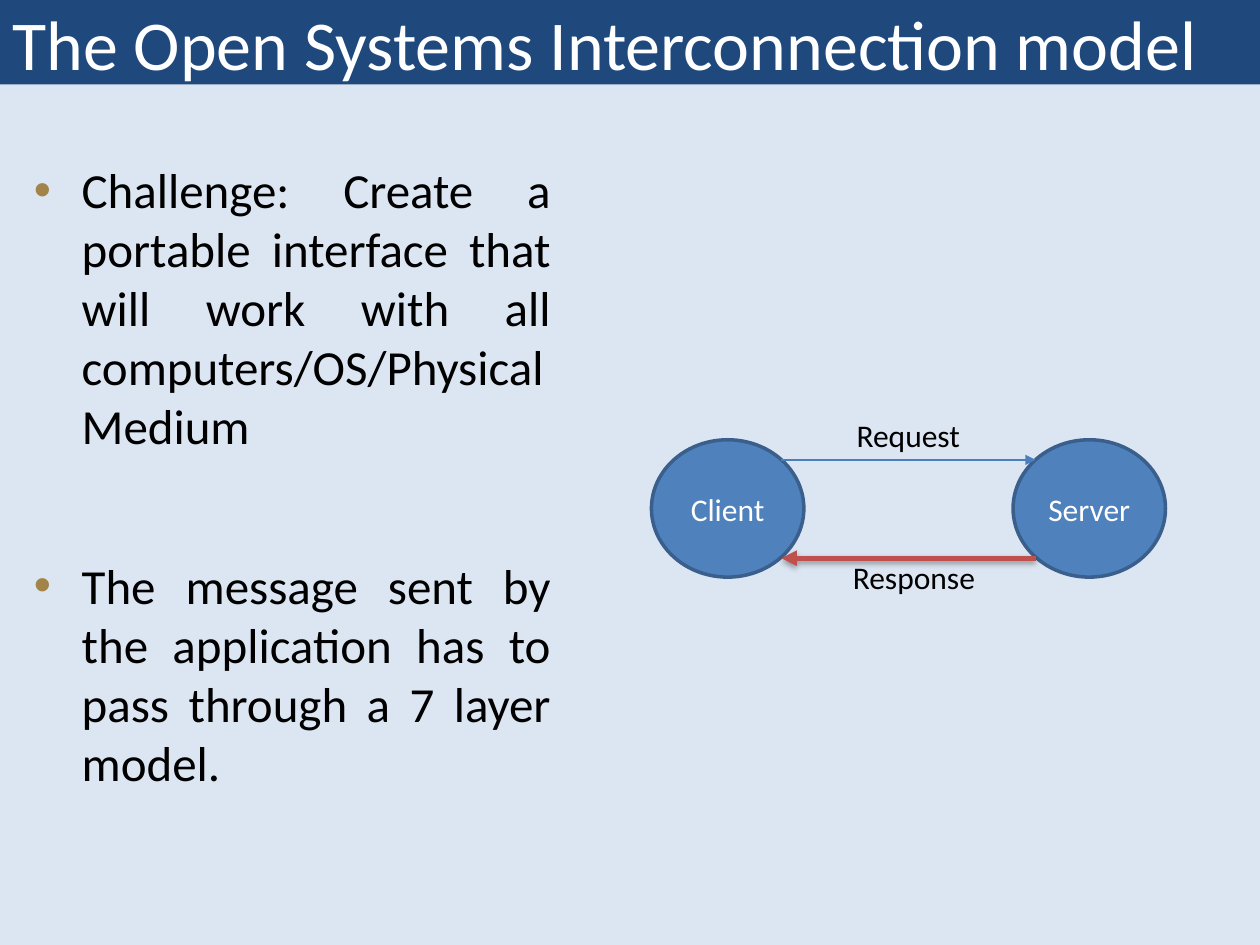
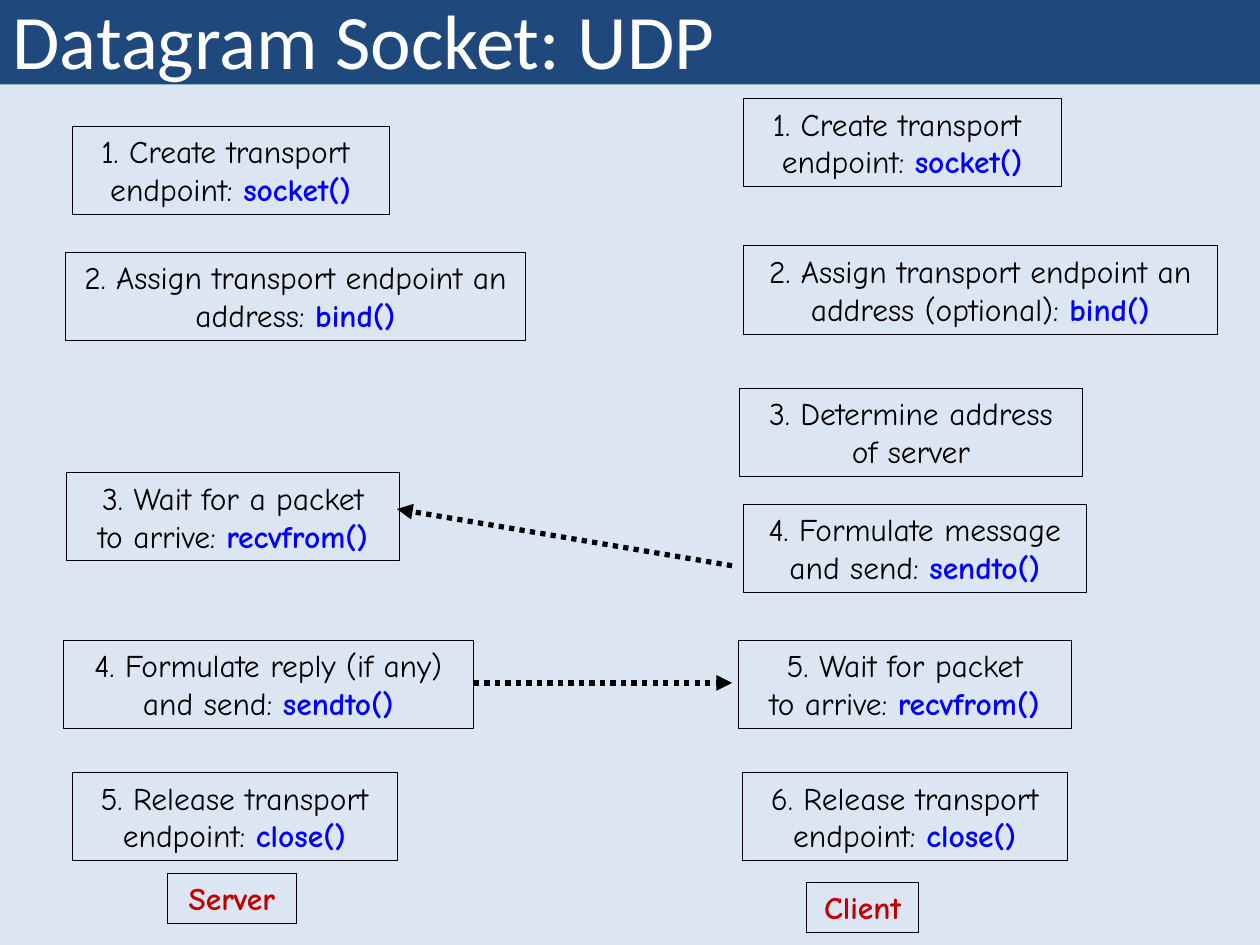
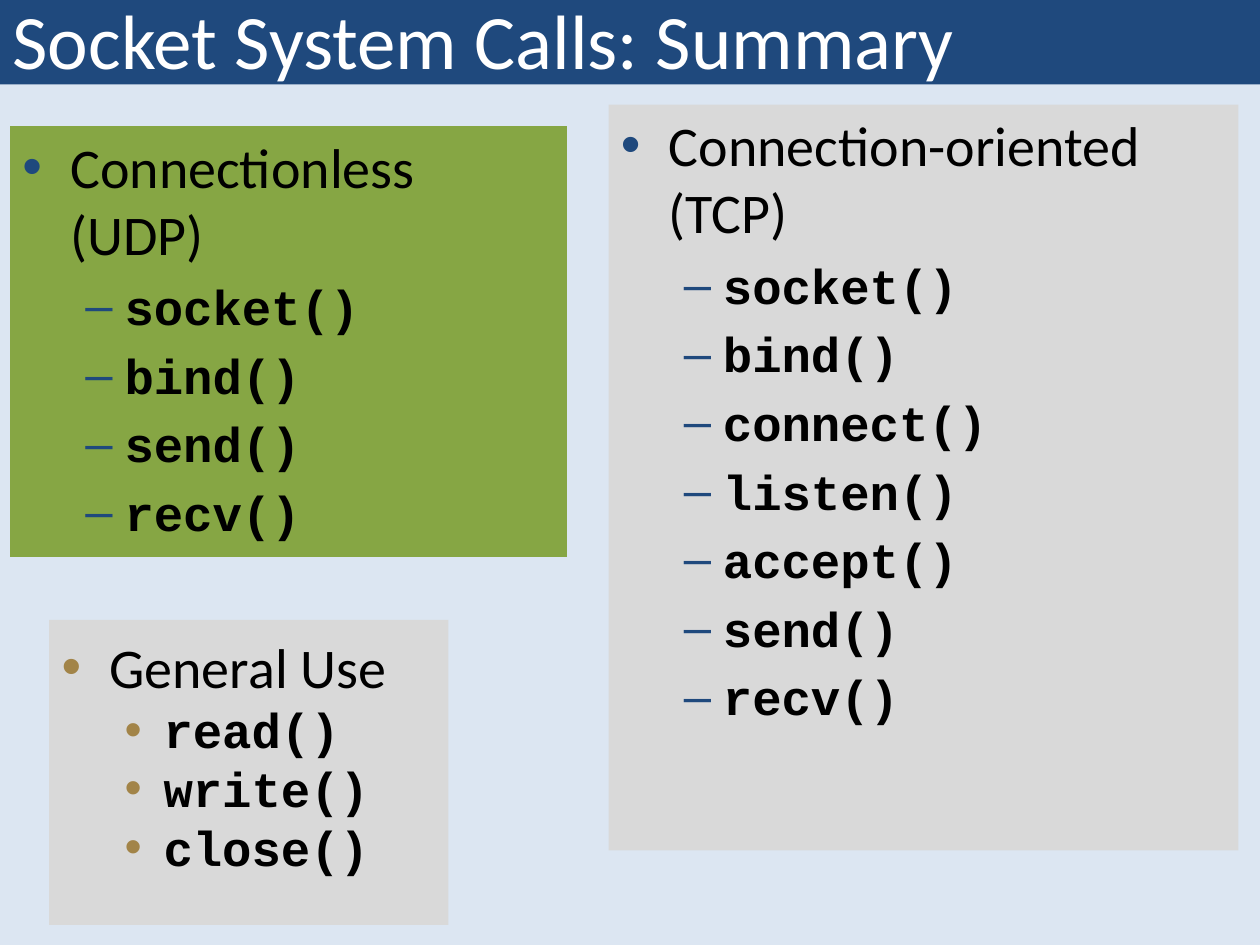
from dataclasses import dataclass

import pptx
import pptx.dml.color
import pptx.enum.dml
import pptx.enum.shapes
import pptx.enum.text
import pptx.oxml
import pptx.oxml.ns
import pptx.util

ALIGN = pptx.enum.text.PP_ALIGN
ANCHOR = pptx.enum.text.MSO_ANCHOR
SHAPE = pptx.enum.shapes.MSO_SHAPE
NS = pptx.oxml.ns.nsdecls("a")
COLS, ROWS = 100, 75


@dataclass(frozen=True)
class Theme:
    page: str = "DCE6F2"
    navy: str = "1F497D"
    gold: str = "A28448"
    blue: str = "4F81BD"
    blue_edge: str = "3A5F8C"
    blue_line: str = "4B7EBC"
    red: str = "C0504D"
    tag: str = "C00000"
    call: str = "0000FF"
    grey: str = "D9D9D9"
    green: str = "86A644"
    white: str = "FFFFFF"
    black: str = "000000"
    sans: str = "Calibri"
    comic: str = "Comic Neue"
    mono: str = "Courier New"
    title: int = 44
    long_title: int = 40
    heading: int = 32
    body: int = 28
    label: int = 18


@dataclass(frozen=True)
class Box:
    """A region in grid units; at() gives a region relative to this one."""
    x: float
    y: float
    w: float
    h: float

    def at(self, x, y, w, h):
        return Box(self.x + x, self.y + y, w, h)

    def emu(self):
        return (gx(self.x), gy(self.y), gx(self.w), gy(self.h))


T = Theme()
prs = pptx.Presentation()
prs.slide_width = pptx.util.Inches(10)
prs.slide_height = pptx.util.Inches(7.5)


def gx(cols):
    return round(prs.slide_width * cols / COLS)


def gy(rows):
    return round(prs.slide_height * rows / ROWS)


def rgb(color):
    return pptx.dml.color.RGBColor.from_string(color)


def add_run(p, text, size, color=T.black, font=T.sans, bold=False):
    r = p.add_run()
    r.text = text
    r.font.size, r.font.name, r.font.bold = pptx.util.Pt(size), font, bold
    r.font.color.rgb = rgb(color)


def next_paragraph(tf):
    """Return the empty first paragraph, or a new one."""
    return tf.add_paragraph() if tf.paragraphs[0].runs else tf.paragraphs[0]


def set_margins(tf, left, top, right, bottom):
    tf.margin_left, tf.margin_right = gx(left), gx(right)
    tf.margin_top, tf.margin_bottom = gy(top), gy(bottom)


def add_bullet(tf, text, size, char, color, level=0, before=0, font=T.sans, align=None):
    p = next_paragraph(tf)
    p.level, p.alignment = level, align
    p.space_before = pptx.util.Pt(before)
    pPr = p._p.get_or_add_pPr()
    indent, hang = ((3.8, 3.8), (8.1, 3.1))[level]
    pPr.set("marL", str(gx(indent)))
    pPr.set("indent", str(-gx(hang)))
    for xml in (f'<a:buClr {NS}><a:srgbClr val="{color}"/></a:buClr>',
                f'<a:buFont {NS} typeface="Arial"/>',
                f'<a:buChar {NS} char="{char}"/>'):
        pPr.append(pptx.oxml.parse_xml(xml))
    add_run(p, text, size, font=font, bold=font == T.mono)


def add_block(s, kind, box, fill=None, line=None, width=0.25):
    sp = s.shapes.add_shape(kind, *box.emu())
    sp.shadow.inherit = False
    if fill:
        sp.fill.solid()
        sp.fill.fore_color.rgb = rgb(fill)
    else:
        sp.fill.background()
    if line:
        sp.line.color.rgb = rgb(line)
        sp.line.width = pptx.util.Pt(width)
    else:
        sp.line.fill.background()
    return sp


def add_arrow(s, box, start, end, color, width, dash=None, shadow=""):
    """Draw an arrow between two points relative to the box."""
    (x1, y1), (x2, y2) = start, end
    c = s.shapes.add_connector(
        pptx.enum.shapes.MSO_CONNECTOR.STRAIGHT,
        gx(box.x + x1), gy(box.y + y1), gx(box.x + x2), gy(box.y + y2))
    c.line.color.rgb = rgb(color)
    c.line.width = pptx.util.Pt(width)
    if dash:
        c.line.dash_style = dash
    c.line._get_or_add_ln().append(pptx.oxml.parse_xml(f'<a:tailEnd {NS} type="triangle"/>'))
    c._element.spPr.append(pptx.oxml.parse_xml(f"<a:effectLst {NS}>{shadow}</a:effectLst>"))


def add_slide(title, size=T.title):
    s = prs.slides.add_slide(prs.slide_layouts[5])
    s.background.fill.solid()
    s.background.fill.fore_color.rgb = rgb(T.page)
    sp = s.shapes.title
    sp.left, sp.top, sp.width, sp.height = Box(0, 0, COLS, 6.7).emu()
    sp.fill.solid()
    sp.fill.fore_color.rgb = rgb(T.navy)
    tf = sp.text_frame
    tf.auto_size = pptx.enum.text.MSO_AUTO_SIZE.NONE
    tf.vertical_anchor = ANCHOR.BOTTOM
    set_margins(tf, 1, 0, 1, 0)
    p = tf.paragraphs[0]
    p.alignment = ALIGN.LEFT
    add_run(p, title, size, T.white)
    return s


def exchange_diagram(s, box):
    node_w, node_h, node_y = 12.1, 10.9, 2.4
    for name, x in (("Client", 0), ("Server", box.w - node_w)):
        sp = add_block(s, SHAPE.OVAL, box.at(x, node_y, node_w, node_h), T.blue, T.blue_edge, 2)
        p = sp.text_frame.paragraphs[0]
        p.alignment = ALIGN.CENTER
        add_run(p, name, T.label, T.white)

    left, right = 10.3, box.w - 10.3
    add_arrow(s, box, (left, 4), (right, 4), T.blue_line, 0.75)
    add_arrow(s, box, (right, 11.8), (left, 11.8), T.red, 3, shadow=(
        '<a:outerShdw blurRad="40000" dist="23000" dir="5400000" rotWithShape="0">'
        f'<a:srgbClr val="{T.black}"><a:alpha val="35000"/></a:srgbClr></a:outerShdw>'))
    for name, x, y, w in (("Request", 15.3, 0, 10.3), ("Response", 15, 11.3, 11.8)):
        tf = s.shapes.add_textbox(*box.at(x, y, w, 4).emu()).text_frame
        tf.word_wrap = False
        add_run(tf.paragraphs[0], name, T.label)


def challenge_text(s, box):
    tf = s.shapes.add_textbox(*box.emu()).text_frame
    tf.word_wrap = True
    set_margins(tf, 1, 1, 3.8, 1)
    for text, before in (
            ("Challenge: Create a portable interface that will work with all "
             "computers/OS/Physical Medium", 12),
            ("The message sent by the application has to pass through a 7 layer model.", 58)):
        add_bullet(tf, text, T.body, "•", T.gold, before=before, align=ALIGN.JUSTIFY)


def add_outlined(s, box, lines, call="", color=T.black, bold=False):
    """Draw an outlined box; the call follows the last line."""
    tf = add_block(s, SHAPE.RECTANGLE, box, line=T.black).text_frame
    tf.word_wrap = len(lines) == 1 and bool(call)
    for line in lines:
        p = next_paragraph(tf)
        p.alignment = ALIGN.CENTER
        add_run(p, line, T.label, color, T.comic, bold)
    if call:
        add_run(p, call, T.label, T.call, T.comic, True)


def step_column(s, box, steps, tag, tag_box):
    for x, y, w, lines, call in steps:
        add_outlined(s, box.at(x, y, w, 7), lines, call)
    add_outlined(s, box.at(*tag_box), [tag], color=T.tag, bold=True)


def call_panel(s, box, fill, heading, calls, general=False):
    sp = add_block(s, SHAPE.RECTANGLE, box, fill)
    tf = sp.text_frame
    tf.word_wrap = True
    tf.vertical_anchor = ANCHOR.TOP
    if general:
        set_margins(tf, 1, 1, 3.8, 1)
        char, color, align = "•", T.gold, ALIGN.JUSTIFY
        gap, call_gap = 12, 0
    else:
        set_margins(tf, 1, 0.5, 1, 0.5)
        char, color, align = "–", T.navy, ALIGN.LEFT
        gap, call_gap = 0.2 * T.heading, 0.2 * T.body
    add_bullet(tf, heading, T.heading, "•", color, before=gap, align=align)
    for call in calls:
        add_bullet(tf, call, T.body, char, color, 1, call_gap, T.mono, align)


def model_slide():
    s = add_slide("The Open Systems Interconnection model", T.long_title)
    exchange_diagram(s, Box(51.7, 32.5, 40.8, 15.3))
    challenge_text(s, Box(1.7, 11.7, 45.8, 58.3))


def datagram_slide():
    s = add_slide("Datagram Socket: UDP")
    create = ["1. Create transport ", "endpoint: "]
    server = Box(5, 7.8, 36.7, 66.2)
    client = Box(58.6, 7.8, 38, 66.2)
    step_column(s, server, [
        (0.7, 2.2, 25.2, create, "socket()"),
        (0.2, 12.2, 36.5, ["2. Assign transport endpoint an address: "], "bind()"),
        (0.3, 29.7, 26.4, ["3. Wait for a packet", "to arrive: "], "recvfrom()"),
        (0, 43, 32.6, ["4. Formulate reply (if any)", "and send: "], "sendto()"),
        (0.7, 53.5, 25.8, ["5. Release transport", "endpoint: "], "close()"),
    ], "Server", (8.3, 61.5, 10.2, 4))
    step_column(s, client, [
        (0.4, 0, 25.2, create, "socket()"),
        (0.4, 11.7, 37.6, ["2. Assign transport endpoint an address (optional): "], "bind()"),
        (0.1, 23, 27.2, ["3. Determine address", "of server"], ""),
        (0.4, 32.2, 27.2, ["4. Formulate message", "and send: "], "sendto()"),
        (0, 43, 26.4, ["5. Wait for packet", "to arrive: "], "recvfrom()"),
        (0.3, 53.5, 25.8, ["6. Release transport", "endpoint: "], "close()"),
    ], "Client", (5.4, 62.2, 8.9, 4))
    for start, end in (((53.1, 37.1), (26.5, 32.6)), ((32.6, 46.4), (53.1, 46.4))):
        add_arrow(s, server, start, end, T.black, 3, pptx.enum.dml.MSO_LINE.ROUND_DOT)


def summary_slide():
    s = add_slide("Socket System Calls: Summary")
    opening, transfer = ["socket()", "bind()"], ["send()", "recv()"]
    call_panel(s, Box(3.9, 49.2, 31.7, 24.2), T.grey, "General Use",
               ["read()", "write()", "close()"], general=True)
    call_panel(s, Box(48.3, 8.3, 50, 59.2), T.grey, "Connection-oriented (TCP)",
               opening + ["connect()", "listen()", "accept()"] + transfer)
    call_panel(s, Box(0.8, 10, 44.2, 34.2), T.green, "Connectionless (UDP)",
               opening + transfer)


def main():
    model_slide()
    datagram_slide()
    summary_slide()
    prs.save("out.pptx")


if __name__ == "__main__":
    main()
